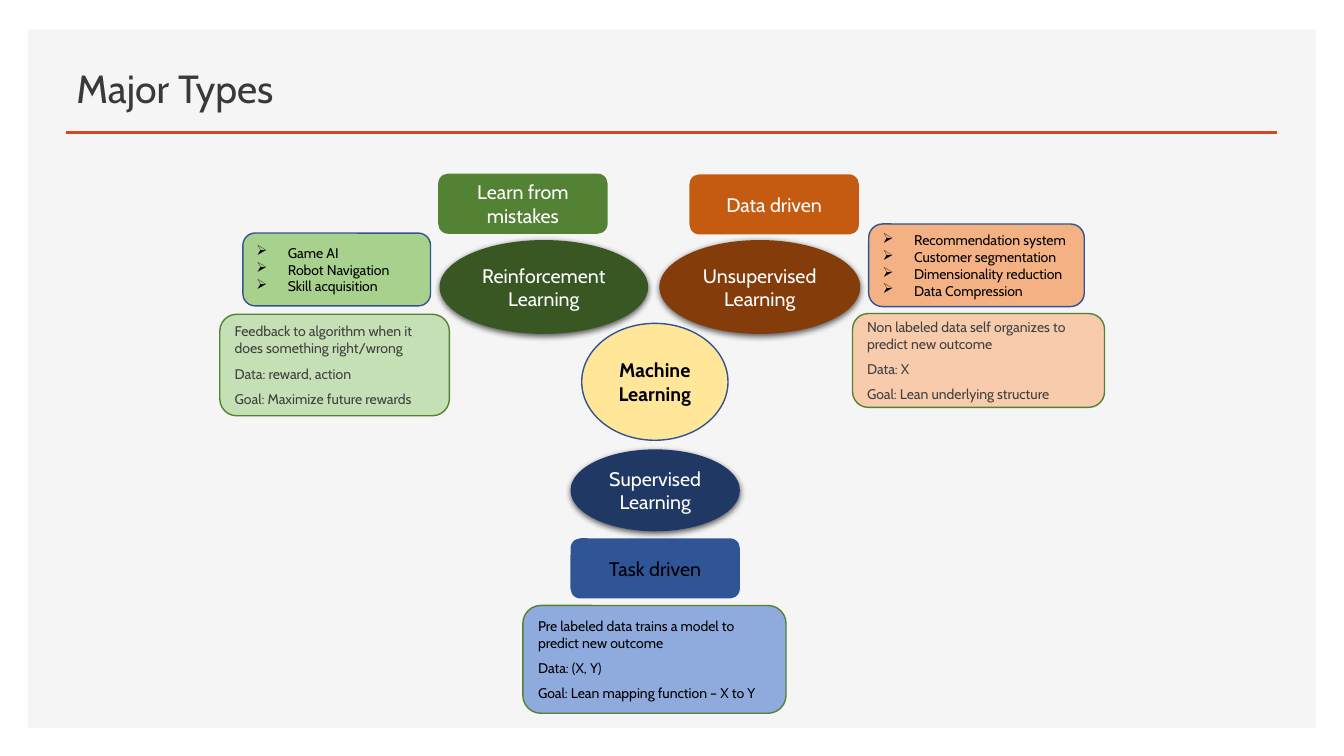
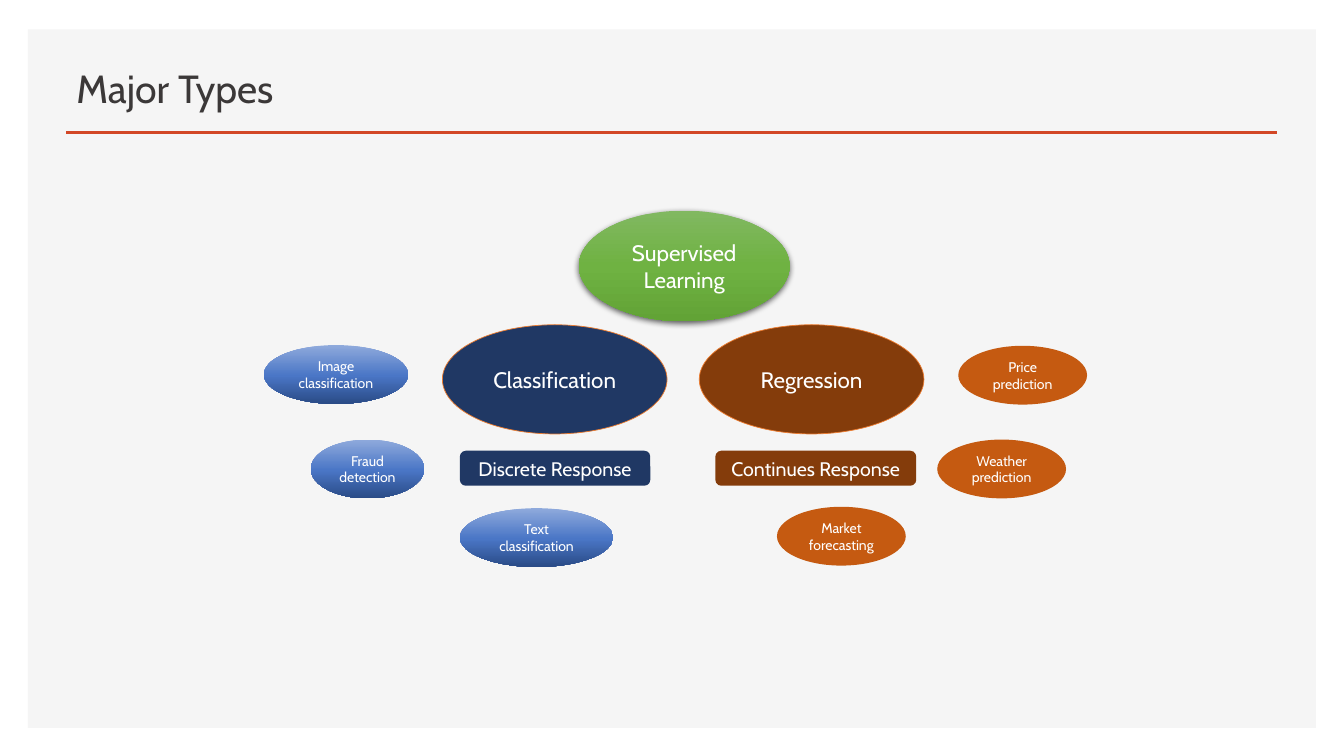
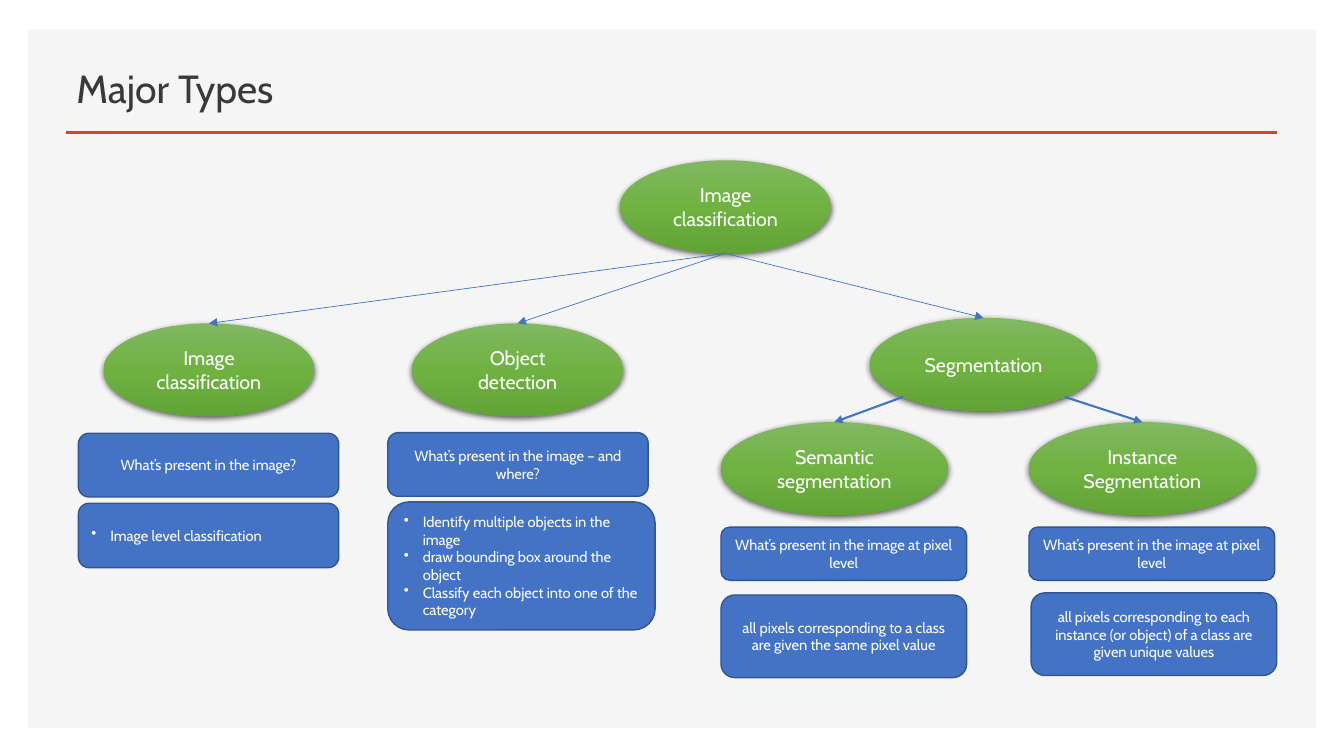
from lxml.etree import SubElement
from pptx import Presentation
from pptx.dml.color import RGBColor
from pptx.enum.shapes import MSO_CONNECTOR, MSO_SHAPE
from pptx.enum.text import MSO_ANCHOR, PP_ALIGN
from pptx.oxml.ns import qn
from pptx.util import Pt

FONT = "Cabin"
WHITE = RGBColor(0xFF, 0xFF, 0xFF)
BLACK = RGBColor(0x00, 0x00, 0x00)
PANEL = RGBColor(0xF5, 0xF5, 0xF5)
RULE = RGBColor(0xD2, 0x47, 0x26)
TITLE = RGBColor(0x3B, 0x38, 0x38)
GREY = RGBColor(0x40, 0x40, 0x40)
NAVY = RGBColor(0x20, 0x38, 0x64)
BLUE = RGBColor(0x44, 0x72, 0xC4)
EDGE = RGBColor(0x32, 0x54, 0x91)
DENIM = RGBColor(0x2F, 0x55, 0x97)
SKY = RGBColor(0x8F, 0xAA, 0xDC)
BROWN = RGBColor(0x84, 0x3C, 0x0B)
RUST = RGBColor(0xC5, 0x5A, 0x11)
ORANGE = RGBColor(0xED, 0x7D, 0x31)
PEACH = RGBColor(0xF4, 0xB1, 0x83)
CREAM = RGBColor(0xF8, 0xCB, 0xAD)
FOREST = RGBColor(0x38, 0x57, 0x23)
GREEN = RGBColor(0x54, 0x82, 0x35)
LIME = RGBColor(0xA9, 0xD1, 0x8E)
MINT = RGBColor(0xC5, 0xE0, 0xB4)
YELLOW = RGBColor(0xFF, 0xE6, 0x99)

# Gradient stops run from top to bottom: percent, colour
LEAF = [(0, RGBColor(0x81, 0xB8, 0x61)), (50, RGBColor(0x6F, 0xB2, 0x42)),
        (100, RGBColor(0x62, 0xA3, 0x36))]
OCEAN = [(0, SKY), (52, RGBColor(0x4A, 0x76, 0xC6)),
         (100, RGBColor(0x2A, 0x4B, 0x86))]

OVAL = MSO_SHAPE.OVAL
ROUND = MSO_SHAPE.ROUNDED_RECTANGLE


def node(page, kind, box, text, fill, size=14, ink=WHITE, edge=None, width=1,
         align=PP_ALIGN.CENTER, after=None, lead=None, mark=None, indent=0,
         bold=None, glow=False):
    """Add a filled shape with one paragraph per line of text."""
    shape = page.shapes.add_shape(kind, *map(Pt, box))
    shape.shadow.inherit = False
    props = shape.element.spPr
    if isinstance(fill, list):
        shape.fill.gradient()
        shape.fill.gradient_angle = 270
        stops = props.find(qn("a:gradFill")).find(qn("a:gsLst"))
        stops.clear()
        for place, shade in fill:
            stop = SubElement(stops, qn("a:gs"), pos=str(place * 1000))
            SubElement(stop, qn("a:srgbClr"), val=str(shade))
    else:
        shape.fill.solid()
        shape.fill.fore_color.rgb = fill
    if edge is None:
        shape.line.fill.background()
    else:
        shape.line.color.rgb = edge
        shape.line.width = Pt(width)
    if glow:
        cast = SubElement(props.find(qn("a:effectLst")), qn("a:outerShdw"),
                          blurRad=str(Pt(4.5)), dist=str(Pt(1.5)),
                          dir="5400000", algn="ctr", rotWithShape="0")
        black = SubElement(cast, qn("a:srgbClr"), val=str(BLACK))
        SubElement(black, qn("a:alpha"), val="63000")
    frame = shape.text_frame
    frame.word_wrap = True
    frame.vertical_anchor = MSO_ANCHOR.MIDDLE
    frame.text = text
    for para in frame.paragraphs:
        if mark:
            style = para._p.get_or_add_pPr()
            style.set("marL", str(Pt(indent)))
            style.set("indent", str(-Pt(indent)))
            SubElement(style, qn("a:buChar"), char=mark)
        para.alignment = align
        if after:
            para.space_after = Pt(after)
        if lead:
            para.line_spacing = Pt(lead)
        for run in para.runs:
            run.font.name = FONT
            run.font.size = Pt(size)
            run.font.bold = bold
            run.font.color.rgb = ink
    return shape


def line(page, start, end, color, width):
    link = page.shapes.add_connector(MSO_CONNECTOR.STRAIGHT,
                                     *map(Pt, (*start, *end)))
    link.line.color.rgb = color
    link.line.width = Pt(width)
    SubElement(link._element.spPr, qn("a:effectLst"))
    return link


deck = Presentation()
deck.slide_width, deck.slide_height = Pt(960), Pt(540)

pages = []
for _ in range(3):
    page = deck.slides.add_slide(deck.slide_layouts[6])
    node(page, MSO_SHAPE.RECTANGLE, (20, 21, 920, 499), "", PANEL)
    line(page, (47.5, 94.5), (912.5, 94.5), RULE, 2)
    title = page.shapes.add_textbox(Pt(47.5), Pt(35.5), Pt(865), Pt(59))
    title.text_frame.word_wrap = True
    title.text_frame.vertical_anchor = MSO_ANCHOR.MIDDLE
    title.text_frame.text = "Major Types"
    para = title.text_frame.paragraphs[0]
    para.line_spacing = 0.9
    font = para.runs[0].font
    font.name, font.size, font.color.rgb = FONT, Pt(28), TITLE
    pages.append(page)
types, tasks, vision = pages

# Slide 1: the three kinds of machine learning
node(types, MSO_SHAPE.FLOWCHART_CONNECTOR, (415.5, 231, 104.5, 83.5),
     "Machine Learning", YELLOW, ink=BLACK, edge=EDGE, bold=True)

for box, text, fill in (
        ((471, 171.5, 143.5, 67), "Unsupervised\nLearning", BROWN),
        ((407.5, 321, 121, 58.5), "Supervised\nLearning", NAVY),
        ((314, 171.5, 149, 67), "Reinforcement\nLearning", FOREST)):
    node(types, OVAL, box, text, fill, glow=True)

for box, text, fill, ink in (
        ((609, 224, 180, 67),
         "Non labeled data self organizes to predict new outcome\n"
         "Data: X\nGoal: Lean underlying structure", CREAM, GREY),
        ((373.5, 432.5, 188, 77),
         "Pre labeled data trains a model to predict new outcome\n"
         "Data: (X, Y)\nGoal: Lean mapping function – X to Y", SKY, BLACK),
        ((157, 224.5, 164, 72.5),
         "Feedback to algorithm when it does something right/wrong\n"
         "Data: reward, action\nGoal: Maximize future rewards", MINT, GREY)):
    node(types, ROUND, box, text, fill, 10, ink, GREEN,
         align=PP_ALIGN.LEFT, after=6)

for box, text, fill in (
        ((173.5, 166.5, 134, 52),
         "Game AI\nRobot Navigation\nSkill acquisition", LIME),
        ((620.5, 160, 154, 59),
         "Recommendation system\nCustomer segmentation\n"
         "Dimensionality reduction\nData Compression", PEACH)):
    node(types, ROUND, box, text, fill, 10, BLACK, EDGE,
         align=PP_ALIGN.LEFT, mark="➢", indent=22.5)

for left, top, text, fill, ink in (
        (407.5, 384.5, "Task driven", DENIM, BLACK),
        (492.5, 124.5, "Data driven", RUST, WHITE),
        (313, 124, "Learn from\nmistakes", GREEN, WHITE)):
    node(types, ROUND, (left, top, 121, 43), text, fill, ink=ink)

# Slide 2: supervised learning
node(tasks, OVAL, (413.5, 150.5, 150.5, 79), "Supervised\nLearning", LEAF, 16,
     glow=True)

for left, name, tag, wide, text, fill in (
        (316, "Classification", 328.5, 136, "Discrete Response", NAVY),
        (499.5, "Regression", 511, 143.5, "Continues Response", BROWN)):
    node(tasks, OVAL, (left, 232, 160.5, 78), name, fill, 16,
         edge=ORANGE, width=0.5)
    node(tasks, ROUND, (tag, 322, wide, 25), text, fill, after=6, lead=18)

for left, top, wide, text, fill in (
        (188.5, 246.5, 103, "Image classification", OCEAN),
        (222, 314, 81, "Fraud detection", OCEAN),
        (328.5, 363, 109.5, "Text classification", OCEAN),
        (684.5, 247, 92, "Price prediction", RUST),
        (669.5, 314, 92, "Weather prediction", RUST),
        (555, 362, 92, "Market forecasting", RUST)):
    node(tasks, OVAL, (left, top, wide, 42), text, fill, 10)

# Slide 3: the tree of image tasks
root, image, object_, split, class_, single = [
    node(vision, OVAL, (left, top, wide, 66.5), text, LEAF, glow=True)
    for left, top, wide, text in (
        (443, 114.5, 150.5, "Image\nclassification"),
        (74, 231, 150.5, "Image\nclassification"),
        (294.5, 231, 150.5, "Object\ndetection"),
        (621.5, 227, 162, "Segmentation"),
        (515, 301.5, 162, "Semantic\nsegmentation"),
        (735, 301.5, 162, "Instance\nSegmentation"))]

base = (518.25, 181)
for start, goal, width in (
        (base, image, 0.5), (base, object_, 0.5), (base, split, 0.5),
        ((645, 283.5), class_, 1.5), ((760.5, 283.5), single, 1.5)):
    arrow = line(vision, start, start, BLUE, width)
    arrow.end_connect(goal, 0)
    SubElement(arrow.line._get_or_add_ln(), qn("a:tailEnd"), type="triangle")

for box, text, mark in (
        ((56, 309.5, 186, 45.5), "What’s present in the image?", None),
        ((56, 359.5, 186, 46), "Image level classification", "•"),
        ((277, 309, 186, 45.5), "What’s present in the image – and where?",
         None),
        ((277, 358.5, 191, 91.5),
         "Identify multiple objects in the image\n"
         "draw bounding box around the object\n"
         "Classify each object into one of the category", "•"),
        ((515, 376.5, 175.5, 38),
         "What’s present in the image at pixel level", None),
        ((735, 376.5, 175.5, 38),
         "What’s present in the image at pixel level", None),
        ((515, 425, 175.5, 59),
         "all pixels corresponding to a class are given the same pixel value",
         None),
        ((736.5, 423.5, 175.5, 59),
         "all pixels corresponding to each instance (or object) of a class "
         "are given unique values", None)):
    node(vision, ROUND, box, text, BLUE, 10.5, edge=EDGE,
         align=PP_ALIGN.LEFT if mark else PP_ALIGN.CENTER,
         mark=mark, indent=13.5)

deck.save("out.pptx")
